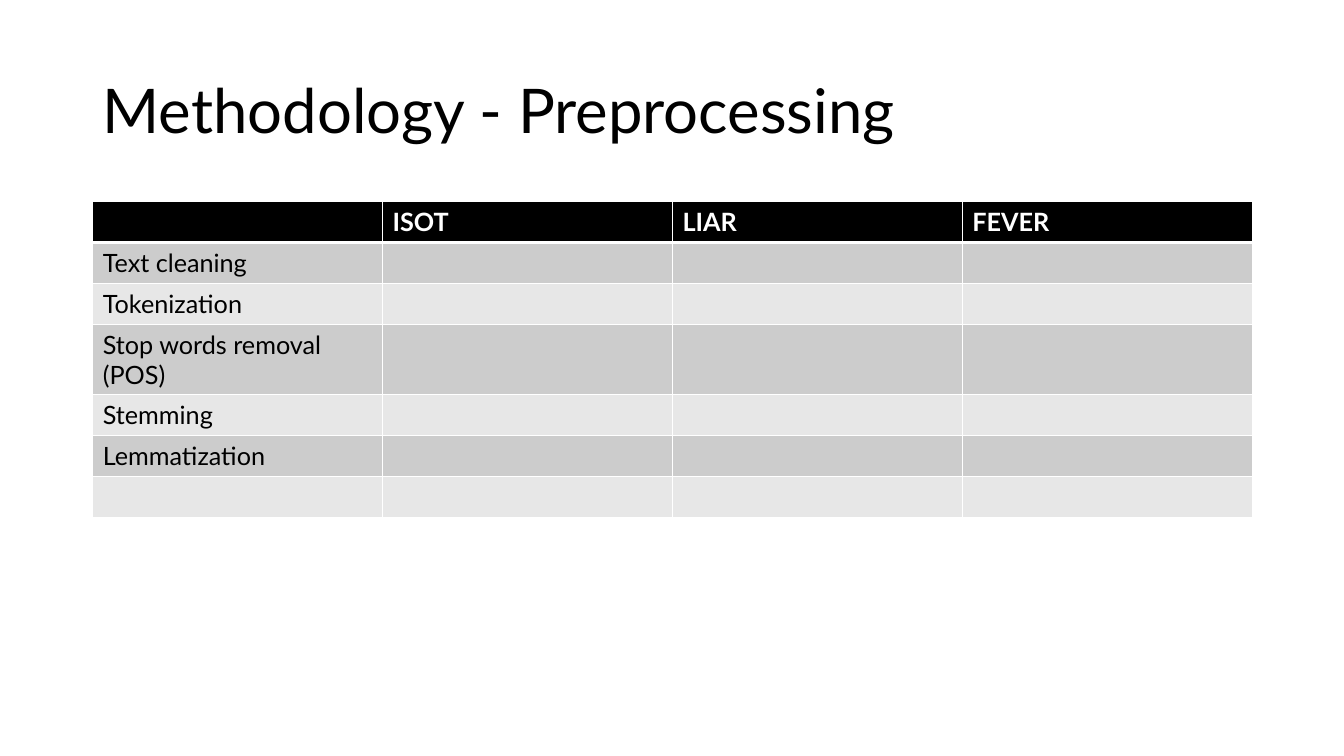
from lxml.etree import SubElement
from pptx import Presentation
from pptx.dml.color import RGBColor
from pptx.enum.text import MSO_ANCHOR
from pptx.oxml.ns import qn
from pptx.util import Inches, Pt

HEADERS = ["", "ISOT", "LIAR", "FEVER"]
STEPS = ["Text cleaning", "Tokenization", "Stop words removal (POS)",
         "Stemming", "Lemmatization", ""]


def rgb(color):
    return RGBColor.from_string(color)


class Deck:
    """A slide on a grid of four columns between the margins and rows one text line high."""
    FONT, BLACK, WHITE = "Lato", "000000", "FFFFFF"
    BANDS = ["CCCCCC", "E7E7E7"]
    MARGIN, COL, ROW = Inches(0.92), Inches(11.5 / 4), Pt(29.2)

    def __init__(self):
        self.prs = Presentation()
        self.prs.slide_width, self.prs.slide_height = Inches(13.33), Inches(7.5)
        self.s = self.prs.slides.add_slide(self.prs.slide_layouts[6])

    def box(self, col, row, cols, rows):
        """Turn grid units into left, top, width and height."""
        return (int(self.MARGIN + col * self.COL), int(row * self.ROW),
                int(cols * self.COL), int(rows * self.ROW))

    def set_text(self, p, text, size, color, bold=False):
        p.text = text
        font = p.font
        font.name, font.size, font.bold = self.FONT, Pt(size), bold
        font.color.rgb = rgb(color)

    def title(self, text, *grid):
        tf = self.s.shapes.add_textbox(*self.box(*grid)).text_frame
        tf.word_wrap = True
        tf.vertical_anchor = MSO_ANCHOR.MIDDLE
        p = tf.paragraphs[0]
        p.line_spacing = 0.9
        self.set_text(p, text, 44, self.BLACK)

    def borders(self, cell, **widths):
        """Draw white cell borders, 1 pt wide unless a side (L, R, T, B) is given."""
        tc_pr = cell._tc.get_or_add_tcPr()
        for i, side in enumerate("LRTB"):
            ln = SubElement(tc_pr, qn(f"a:ln{side}"), w=str(Pt(widths.get(side, 1))))
            fill = SubElement(ln, qn("a:solidFill"))
            SubElement(fill, qn("a:srgbClr"), val=self.WHITE)
            tc_pr.insert(i, ln)

    def table(self, rows, *grid):
        """Add a table whose first row is the header."""
        frame = self.s.shapes.add_table(len(rows), len(rows[0]), *self.box(*grid))
        for r, texts in enumerate(rows):
            frame.table.rows[r].height = self.ROW
            head = r == 0
            for c, text in enumerate(texts):
                cell = frame.table.cell(r, c)
                cell.fill.solid()
                cell.fill.fore_color.rgb = rgb(self.BLACK if head else self.BANDS[(r - 1) % 2])
                self.borders(cell, B=3 if head else 1, T=3 if r == 1 else 1)
                self.set_text(cell.text_frame.paragraphs[0], text, 18,
                              self.WHITE if head else self.BLACK, head)


def main():
    deck = Deck()
    deck.title("Methodology - Preprocessing", 0, 1, 4, 3.57)
    rows = [HEADERS] + [[step, "", "", ""] for step in STEPS]
    deck.table(rows, 0, 4.93, 4, len(rows))
    deck.prs.save("out.pptx")


if __name__ == "__main__":
    main()
